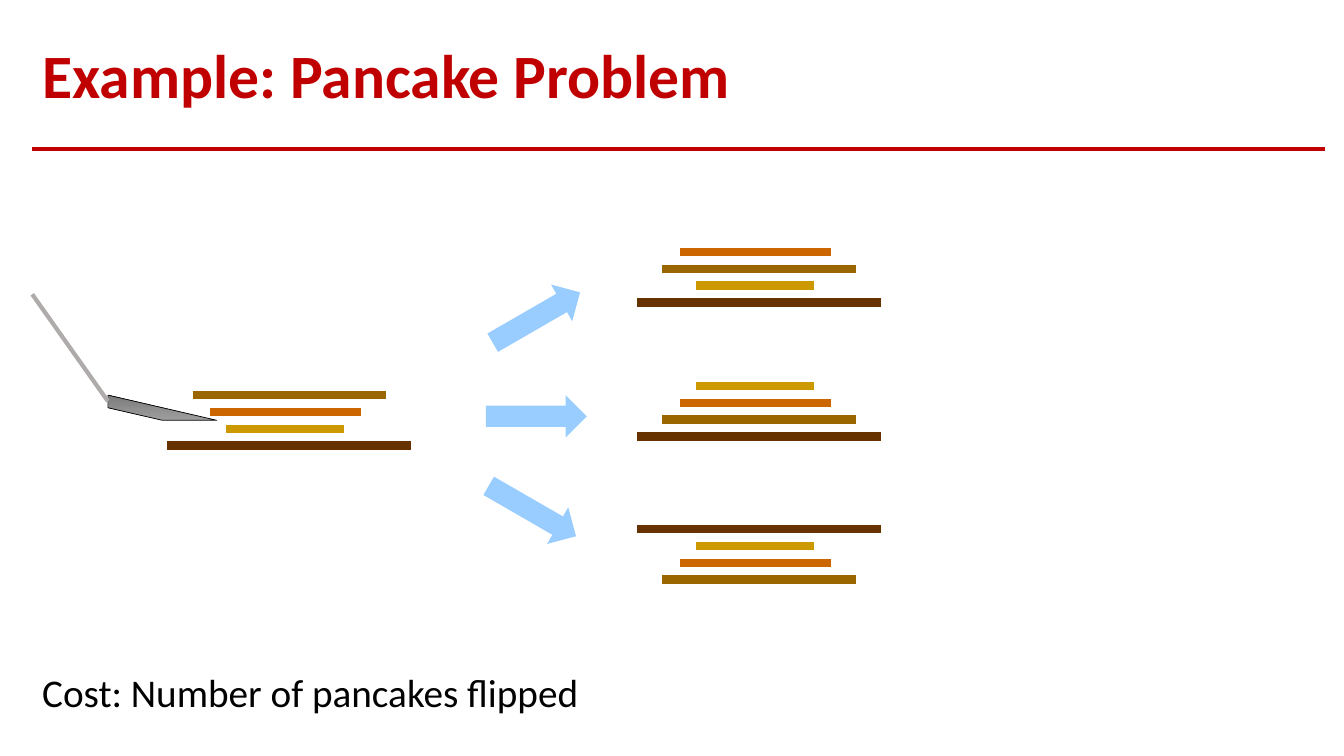
import pptx
import pptx.util
import pptx.dml.color
import pptx.enum.shapes
import pptx.enum.text
import pptx.oxml.ns
import pptx.oxml.xmlchemy

Inches, Pt = pptx.util.Inches, pptx.util.Pt
RGBColor = pptx.dml.color.RGBColor
SHAPE = pptx.enum.shapes.MSO_SHAPE

# Content
TITLE = "Example: Pancake Problem"
COST = "Cost: Number of pancakes flipped"

RED = RGBColor(0xC0, 0x00, 0x00)
BLACK = RGBColor(0x00, 0x00, 0x00)
ARROW_BLUE = RGBColor(0x99, 0xCC, 0xFF)
HANDLE_GRAY = RGBColor(0xAF, 0xAB, 0xAB)
BLADE_LIGHT = RGBColor(0x9D, 0x9D, 0x9D)
BLADE_DARK = RGBColor(0x7C, 0x7C, 0x7C)

# Pancake size: (indent from the stack's left edge, width, colour)
PANCAKES = {
    1: (0.58, 1.17, RGBColor(0xCC, 0x99, 0x00)),
    2: (0.42, 1.5, RGBColor(0xCC, 0x66, 0x00)),
    3: (0.25, 1.92, RGBColor(0x99, 0x66, 0x00)),
    4: (0, 2.42, RGBColor(0x66, 0x33, 0x00)),
}
PANCAKE_STEP = 1 / 6

# Stacks: (left, top, pancake sizes from top to bottom)
STACKS = [
    (1.66, 3.92, (3, 2, 1, 4)),
    (6.32, 2.5, (2, 3, 1, 4)),
    (6.32, 3.83, (1, 2, 3, 4)),
    (6.32, 5.25, (4, 1, 2, 3)),
]

# Flip arrows: (left, top, rotation)
ARROWS = [(4.82, 2.94, 330), (4.82, 3.92, 0), (4.78, 4.86, 30)]

prs = pptx.Presentation()
prs.slide_width, prs.slide_height = Inches(13.33), Inches(7.5)
slide = prs.slides.add_slide(prs.slide_layouts[5])


def add_line(x1, y1, x2, y2, color, width):
    line = slide.shapes.add_connector(
        pptx.enum.shapes.MSO_CONNECTOR.STRAIGHT,
        Inches(x1), Inches(y1), Inches(x2), Inches(y2))
    line.line.color.rgb = color
    line.line.width = Pt(width)
    line._element.spPr.append(pptx.oxml.xmlchemy.OxmlElement("a:effectLst"))


def add_plain_shape(kind, left, top, width, height):
    shape = slide.shapes.add_shape(
        kind, Inches(left), Inches(top), Inches(width), Inches(height))
    shape.shadow.inherit = False
    return shape


def write(frame, text, size, color, bold):
    frame.text = text
    frame.word_wrap = True
    paragraph = frame.paragraphs[0]
    paragraph.alignment = pptx.enum.text.PP_ALIGN.LEFT
    font = paragraph.font
    font.name, font.size, font.bold = "Calibri", Pt(size), bold
    font.color.rgb = color
    return paragraph


# Title and rule
title = slide.shapes.title
title.left, title.top = Inches(0.32), Inches(0.28)
title.width, title.height = Inches(12.82), Inches(1)
write(title.text_frame, TITLE, 44, RED, True).line_spacing = 0.9
title.text_frame.vertical_anchor = pptx.enum.text.MSO_ANCHOR.MIDDLE
add_line(0.32, 1.48, 13.14, 1.48, RED, 2.5)

# Pancake stacks
for stack_left, stack_top, sizes in STACKS:
    for row, size in enumerate(sizes):
        indent, width, color = PANCAKES[size]
        left, y = stack_left + indent, stack_top + row * PANCAKE_STEP
        add_line(left, y, left + width, y, color, 6)

# Spatula
blade = add_plain_shape(SHAPE.DIAGONAL_STRIPE, 1.07, 3.92, 1.08, 0.25)
blade._element.spPr.find(pptx.oxml.ns.qn("a:xfrm")).set("flipV", "1")
blade.fill.gradient()
blade.fill.gradient_angle = 270
for stop, position, color in zip(
        blade.fill.gradient_stops, (0, 1), (BLADE_LIGHT, BLADE_DARK)):
    stop.position, stop.color.rgb = position, color
blade.line.color.rgb = BLACK
blade.line.width = Pt(0.5)
add_line(1.07, 3.98, 0.32, 2.92, HANDLE_GRAY, 3)

# Flip arrows
for left, top, rotation in ARROWS:
    arrow = add_plain_shape(SHAPE.RIGHT_ARROW, left, top, 1, 0.42)
    arrow.rotation = rotation
    arrow.fill.solid()
    arrow.fill.fore_color.rgb = ARROW_BLUE
    arrow.line.fill.background()

# Cost
cost = slide.shapes.add_textbox(
    Inches(0.32), Inches(6.58), Inches(7.71), Inches(0.57))
write(cost.text_frame, COST, 28, BLACK, False)

prs.save("out.pptx")
